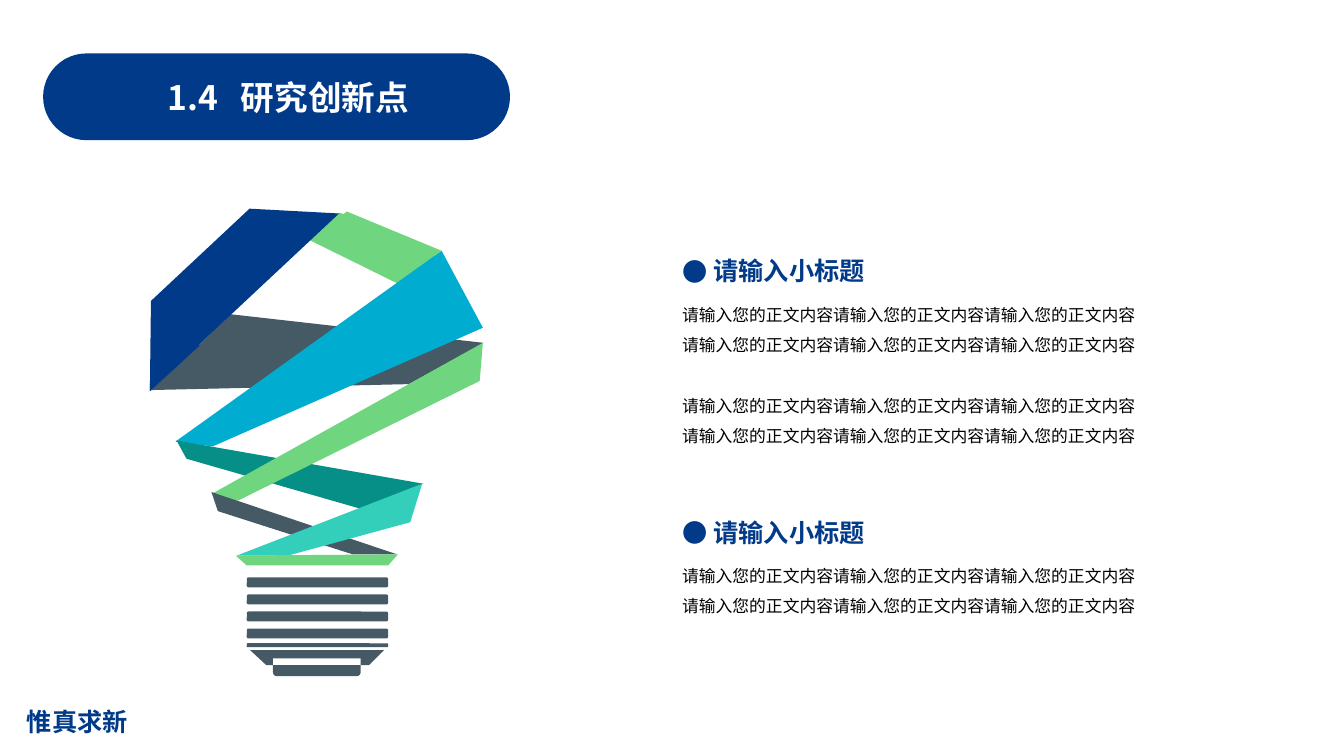
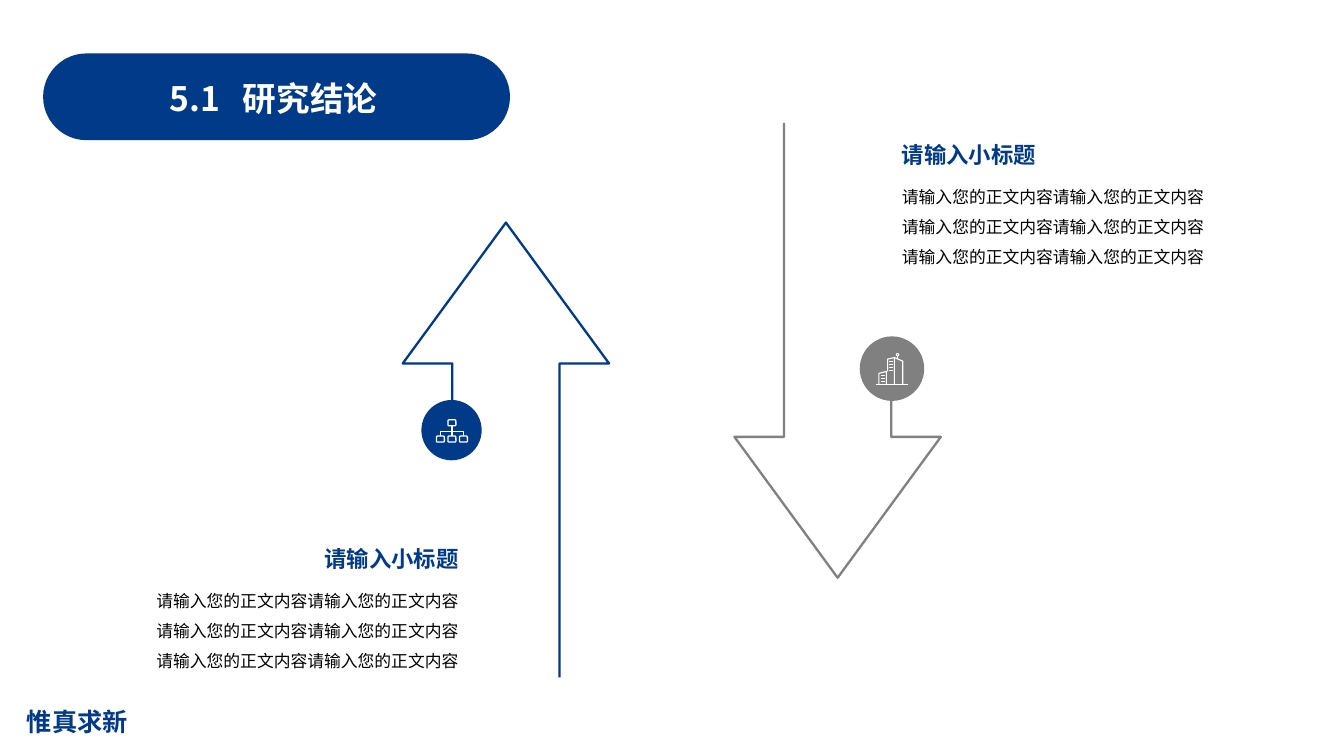
"""Build two research slides: innovation points and conclusions."""
from lxml.etree import SubElement
from pptx import Presentation
from pptx.dml.color import RGBColor
from pptx.enum.shapes import MSO_SHAPE
from pptx.enum.text import MSO_ANCHOR, MSO_AUTO_SIZE, PP_ALIGN
from pptx.oxml.ns import qn
from pptx.util import Cm, Pt

NAVY = RGBColor(0x01, 0x3A, 0x89)
GREEN = RGBColor(0x6F, 0xD5, 0x7F)
SLATE = RGBColor(0x46, 0x5A, 0x66)
CYAN = RGBColor(0x00, 0xAC, 0xCF)
TEAL = RGBColor(0x06, 0x8F, 0x86)
TURQUOISE = RGBColor(0x34, 0xCF, 0xBB)
GREY = RGBColor(0x80, 0x80, 0x80)
WHITE = RGBColor(0xFF, 0xFF, 0xFF)
BLACK = RGBColor(0x00, 0x00, 0x00)
FONT = "Noto Sans CJK SC"
HEADING = "请输入小标题"
PHRASE = "请输入您的正文内容"

LOWER_RIBBONS = [
    (GREEN, [(8.56, 5.36), (11.15, 6.4), (10.01, 7.14), (7.8, 6.05)]),
    (SLATE, [(5.82, 7.92), (12.19, 8.64), (10.31, 9.68), (3.81, 9.83)]),
    (CYAN, [(11.13, 6.32), (12.17, 8.26), (5.36, 11.25), (4.42, 11.13)]),
    (TEAL, [(4.45, 11.1), (4.7, 11.56), (9.12, 12.83), (10.67, 12.19)]),
    (GREEN, [(12.17, 8.64), (12.09, 9.6), (5.99, 12.62), (5.33, 12.45)]),
    (SLATE, [(5.33, 12.4), (5.49, 12.88), (8.89, 13.97), (10.01, 13.97)]),
    (TURQUOISE, [(10.64, 12.19), (10.34, 13.16), (7.26, 14), (5.97, 14)]),
    (GREEN, [(6.22, 14.25), (9.78, 14.25), (10.03, 13.97), (5.94, 14)]),
]
UPPER_FOLDS = [
    (GREEN, [(11.13, 6.32), (8.74, 5.33), (8.46, 5.56), (10.85, 6.4), (10.95, 6.45)]),
    (NAVY, [(4.85, 8.43), (3.78, 9.68), (3.78, 9.86), (5.03, 8.71)]),
]
SOCKET = [(6.3, 16.38), (9.68, 16.38), (9.3, 16.76), (9.09, 16.76),
          (9.09, 16.59), (6.88, 16.59), (6.88, 16.76), (6.71, 16.76)]
ARROW = [(1.35, 11.46), (1.35, 3.55), (2.6, 3.55), (0, 0),
         (-2.6, 3.55), (-1.35, 3.55), (-1.35, 4.55)]


def paint(shape, fill=None, line=None, width=1):
    """Set fill and outline, leaving out whichever has no colour."""
    shape.shadow.inherit = False
    if fill is None:
        shape.fill.background()
    else:
        shape.fill.solid()
        shape.fill.fore_color.rgb = fill
    if line is None:
        shape.line.fill.background()
    else:
        shape.line.color.rgb = line
        shape.line.width = Pt(width)


def add_preset(page, kind, place, **style):
    """Add a preset shape at a place given in centimetres."""
    shape = page.shapes.add_shape(kind, *map(Cm, place))
    paint(shape, **style)
    return shape


def add_outline(page, strokes, close=False, **style):
    """Add one freeform made of strokes given in centimetres."""
    builder = None
    for stroke in strokes:
        start, *rest = [(Cm(x), Cm(y)) for x, y in stroke]
        if builder is None:
            builder = page.shapes.build_freeform(*start)
        else:
            builder.move_to(*start)
        builder.add_line_segments(rest, close=close)
    paint(builder.convert_to_shape(), **style)


def add_span(para, text, size, color, bold=False):
    """Add a run in the deck font."""
    span = para.add_run()
    span.text = text
    span.font.name = FONT
    span.font.size = Pt(size)
    span.font.bold = bold
    span.font.color.rgb = color
    SubElement(span.font._element, qn("a:ea"), typeface=FONT)


def add_box(page, place):
    """Add an empty wrapping text box."""
    box = page.shapes.add_textbox(*map(Cm, place))
    box.text_frame.word_wrap = True
    return box


def set_bullet(para):
    """Give a paragraph a round bullet with a hanging indent."""
    properties = para._p.get_or_add_pPr()
    properties.set("marL", str(Cm(0.79)))
    properties.set("indent", str(Cm(-0.79)))
    SubElement(properties, qn("a:buFont"), typeface=FONT)
    SubElement(properties, qn("a:buChar"), char="●")


def add_section(page, place, size, groups, align=PP_ALIGN.LEFT, bullet=False):
    """Add a heading followed by groups of body paragraphs."""
    frame = add_box(page, place).text_frame
    para = frame.paragraphs[0]
    if bullet:
        set_bullet(para)
    para.space_after = Pt(6)
    add_span(para, HEADING, size, NAVY, bold=True)
    for group_index, group in enumerate(groups):
        for line_index, text in enumerate(group):
            para = frame.add_paragraph()
            if group_index and not line_index:
                para.space_before = Pt(22)
            add_span(para, text, 12, BLACK)
    for para in frame.paragraphs:
        para.alignment = align
        para.line_spacing = 1.5


def share_frame(page):
    """Place the title band and the motto on the layout of the page."""
    layout = page.slide_layout
    for holder in list(layout.placeholders)[1:]:
        holder.element.getparent().remove(holder.element)
    band = add_preset(page, MSO_SHAPE.ROUNDED_RECTANGLE,
                      (1.14, 1.4, 11.66, 2.08), fill=NAVY, line=NAVY, width=3)
    band.adjustments[0] = 0.5
    motto = add_box(page, (0.43, 17.68, 7.32, 1.02))
    add_span(motto.text_frame.paragraphs[0], "惟真求新", 18, NAVY, bold=True)
    for shape in (band, motto):
        layout.shapes._spTree.append(shape.element)


def add_page(deck, number, topic, left, top):
    """Add a title-only page with its number and topic on the band."""
    page = deck.slides.add_slide(deck.slide_layouts[5])
    title = page.shapes.title
    title.left, title.top, title.width, title.height = map(Cm, (left, top, 8, 1.27))
    frame = title.text_frame
    frame.auto_size = MSO_AUTO_SIZE.NONE
    frame.vertical_anchor = MSO_ANCHOR.MIDDLE
    frame.margin_left = frame.margin_right = frame.margin_top = frame.margin_bottom = 0
    para = frame.paragraphs[0]
    tabs = SubElement(para._p.get_or_add_pPr(), qn("a:tabLst"))
    SubElement(tabs, qn("a:tab"), pos=str(Cm(1.85)), algn="l")
    para.alignment = PP_ALIGN.LEFT
    add_span(para, f"{number}\t{topic}", 24, WHITE, bold=True)
    return page


def add_bulb(page):
    """Draw a light bulb of folded ribbons on a threaded socket."""
    for color, points in LOWER_RIBBONS:
        add_outline(page, [points], close=True, fill=color)
    threads = [(14.55 + 0.43 * row, 0.25) for row in range(4)]
    for top, height in threads + [(16.21, 0.1)]:
        add_preset(page, MSO_SHAPE.ROUNDED_RECTANGLE,
                   (6.22, top, 3.56, height), fill=SLATE)
    add_outline(page, [SOCKET], close=True, fill=SLATE)
    plug = add_preset(page, MSO_SHAPE.ROUND_2_SAME_RECTANGLE,
                      (6.88, 16.76, 2.21, 0.28), fill=SLATE)
    plug.adjustments[0], plug.adjustments[1] = 0, 0.35
    ribbon = add_preset(page, MSO_SHAPE.TRAPEZOID, (2.34, 6.2, 6.53, 1.63), fill=NAVY)
    ribbon.adjustments[0] = 0.959
    ribbon.rotation = 316.9
    for color, points in UPPER_FOLDS:
        add_outline(page, [points], close=True, fill=color)


def add_arrow(page, tip, direction, color):
    """Draw an open arrow, pointing up for 1 and down for -1."""
    points = [(tip[0] + direction * x, tip[1] + direction * y) for x, y in ARROW]
    add_outline(page, [points], line=color, width=1.63)


def add_chart_icon(page):
    """Draw an organisation chart of one box over three."""
    centers = [11.1, 11.39, 11.68]
    for center, top in [(centers[1], 10.58)] + [(x, 10.99) for x in centers]:
        add_preset(page, MSO_SHAPE.ROUNDED_RECTANGLE,
                   (center - 0.1, top, 0.2, 0.15), line=WHITE, width=0.9)
    branch = [(centers[0], 10.99), (centers[0], 10.88),
              (centers[2], 10.88), (centers[2], 10.99)]
    stem = [(centers[1], 10.73), (centers[1], 10.99)]
    add_outline(page, [branch, stem], line=WHITE, width=0.9)


def add_building_icon(page):
    """Draw three buildings with windows and a mast."""
    walls = [
        [(22.07, 9.69), (22.89, 9.69)],
        [(22.15, 9.69), (22.15, 9.41), (22.34, 9.36), (22.34, 9.69)],
        [(22.37, 9.36), (22.37, 9.05), (22.54, 9.01), (22.54, 9.69)],
        [(22.54, 9.01), (22.75, 9.1), (22.75, 9.69)],
        [(22.62, 9.05), (22.62, 8.98)],
    ]
    low = [[(22.2, y), (22.3, y)] for y in (9.46, 9.54, 9.61)]
    tall = [[(22.4, y), (22.5, y)] for y in (9.12, 9.19, 9.27, 9.34)]
    add_outline(page, walls + low + tall, line=WHITE, width=0.8)
    add_preset(page, MSO_SHAPE.OVAL, (22.59, 8.91, 0.06, 0.06), line=WHITE, width=0.8)


def add_innovation_page(deck):
    """Add the page on innovation points."""
    page = add_page(deck, "1.4", "研究创新点", 4.22, 1.8)
    share_frame(page)
    add_bulb(page)
    pair = [PHRASE * 3] * 2
    add_section(page, (16.94, 5.94, 12.65, 5.46), 18, [pair, pair], bullet=True)
    add_section(page, (16.94, 12.52, 12.65, 3.94), 18, [pair], bullet=True)


def add_conclusion_page(deck):
    """Add the page on conclusions."""
    page = add_page(deck, "5.1", "研究结论", 4.27, 1.84)
    add_arrow(page, (12.75, 5.61), 1, NAVY)
    add_preset(page, MSO_SHAPE.OVAL, (10.62, 10.08, 1.52, 1.52), fill=NAVY)
    add_chart_icon(page)
    add_arrow(page, (21.11, 14.56), -1, GREY)
    add_preset(page, MSO_SHAPE.OVAL, (21.72, 8.53, 1.52, 1.52),
               fill=GREY, line=GREY, width=3)
    add_building_icon(page)
    body = [[PHRASE * 4, PHRASE * 2]]
    add_section(page, (3.58, 13.28, 8.23, 3.81), 16, body, align=PP_ALIGN.RIGHT)
    add_section(page, (22.48, 3.1, 8.23, 3.81), 16, body)


def main():
    """Build and save the deck."""
    deck = Presentation()
    deck.slide_width, deck.slide_height = Cm(33.87), Cm(19.05)
    add_innovation_page(deck)
    add_conclusion_page(deck)
    deck.save("out.pptx")


if __name__ == "__main__":
    main()
